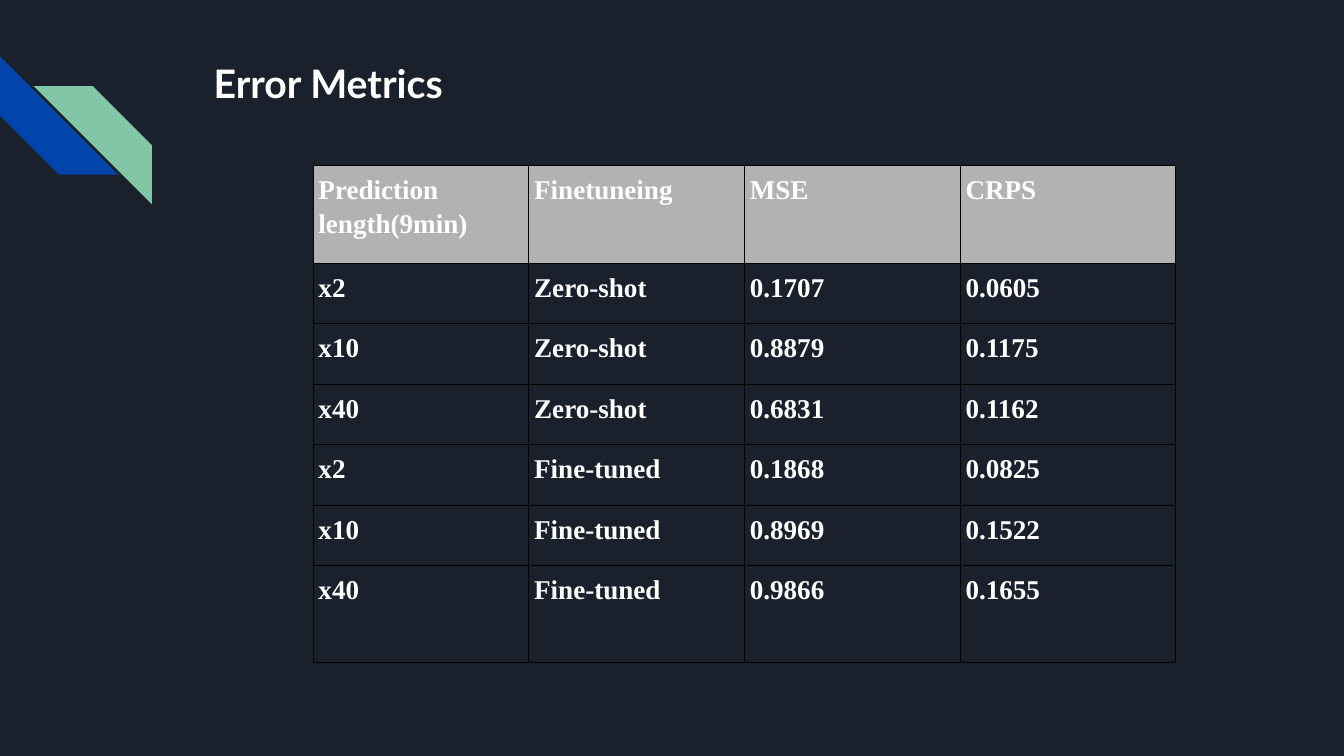
import pptx
import pptx.dml.color
import pptx.enum.shapes
import pptx.enum.text
import pptx.oxml
import pptx.oxml.ns
import pptx.util
from pptx.util import Inches, Pt

TITLE = "Error Metrics"
HEADINGS = ["Prediction length(9min)", "Finetuneing", "MSE ", "CRPS"]
RESULTS = [
    ("x2", "Zero-shot", "0.1707", "0.0605"),
    ("x10", "Zero-shot", "0.8879", "0.1175"),
    ("x40", "Zero-shot", "0.6831", "0.1162"),
    ("x2", "Fine-tuned", "0.1868", "0.0825"),
    ("x10", "Fine-tuned", "0.8969", "0.1522"),
    ("x40", "Fine-tuned", "0.9866", "0.1655"),
]
TABLE_WIDTH = 6.42
ROW_HEIGHTS = [0.73] + [0.45] * 5 + [0.72]
STRIPE_SIZE = 0.88
BACKGROUND, WHITE, BLACK = "1B212C", "FFFFFF", "000000"
HEADING_FILL, BLUE, GREEN = "B0B3B2", "0145AC", "82C7A5"


def paint(fill, color):
    fill.solid()
    fill.fore_color.rgb = pptx.dml.color.RGBColor.from_string(color)


def set_insets(target, inset):
    target.margin_left = target.margin_right = Inches(inset)
    target.margin_top = target.margin_bottom = Inches(inset)


def add_run(paragraph, text, size, font_name):
    run = paragraph.add_run()
    run.text = text
    run.font.size = Pt(size)
    run.font.name = font_name
    run.font.bold = True
    paint(run.font.fill, WHITE)


def add_stripe(slide, left, top, color):
    stripe = slide.shapes.add_shape(
        pptx.enum.shapes.MSO_SHAPE.DIAGONAL_STRIPE,
        Inches(left), Inches(top), Inches(STRIPE_SIZE), Inches(STRIPE_SIZE))
    stripe.adjustments[0] = 0.5
    stripe.shadow.inherit = False
    paint(stripe.fill, color)
    stripe.line.fill.background()
    return stripe


def add_borders(cell):
    """Put a thin black line on all four sides; must precede the cell's fill."""
    properties = cell._tc.get_or_add_tcPr()
    for side in ("lnL", "lnR", "lnT", "lnB"):
        properties.append(pptx.oxml.parse_xml(
            f'<a:{side} {pptx.oxml.ns.nsdecls("a")} w="{Pt(0.75)}">'
            f'<a:solidFill><a:srgbClr val="{BLACK}"/></a:solidFill></a:{side}>'))


def add_title(slide):
    title = slide.shapes.title
    title.left, title.top = Inches(1.49), Inches(0.34)
    title.width, title.height = Inches(5.36), Inches(0.68)
    frame = title.text_frame
    frame.word_wrap = True
    frame.auto_size = pptx.enum.text.MSO_AUTO_SIZE.NONE
    frame.vertical_anchor = pptx.enum.text.MSO_ANCHOR.TOP
    set_insets(frame, 0.1)
    frame.paragraphs[0].alignment = pptx.enum.text.PP_ALIGN.LEFT
    add_run(frame.paragraphs[0], TITLE, 21, "Lato")


def add_metrics(slide):
    rows = [HEADINGS] + RESULTS
    metrics = slide.shapes.add_table(
        len(rows), len(HEADINGS), Inches(2.33), Inches(1.23),
        Inches(TABLE_WIDTH), Inches(sum(ROW_HEIGHTS))).table
    metrics.horz_banding = False
    for column in metrics.columns:
        column.width = Inches(TABLE_WIDTH / len(HEADINGS))
    for r, (values, height) in enumerate(zip(rows, ROW_HEIGHTS)):
        metrics.rows[r].height = Inches(height)
        for c, value in enumerate(values):
            cell = metrics.cell(r, c)
            set_insets(cell, 0.04)
            add_borders(cell)
            if r == 0:
                paint(cell.fill, HEADING_FILL)
            else:
                cell.fill.background()
            paragraph = cell.text_frame.paragraphs[0]
            paragraph.alignment = pptx.enum.text.PP_ALIGN.JUSTIFY
            paragraph.line_spacing = 1.15
            add_run(paragraph, value, 14.5, "Times New Roman")


def main():
    deck = pptx.Presentation()
    deck.slide_width = Inches(10)
    deck.slide_height = deck.slide_width * 9 // 16
    slide = deck.slides.add_slide(deck.slide_layouts.get_by_name("Title Only"))
    paint(slide.background.fill, BACKGROUND)
    add_stripe(slide, 0, 0.42, BLUE).rotation = 270
    green_stripe = add_stripe(slide, 0.25, 0.64, GREEN)
    green_stripe.element.spPr.get_or_add_xfrm().set("flipH", "1")
    add_metrics(slide)
    add_title(slide)
    deck.save("out.pptx")


if __name__ == "__main__":
    main()
